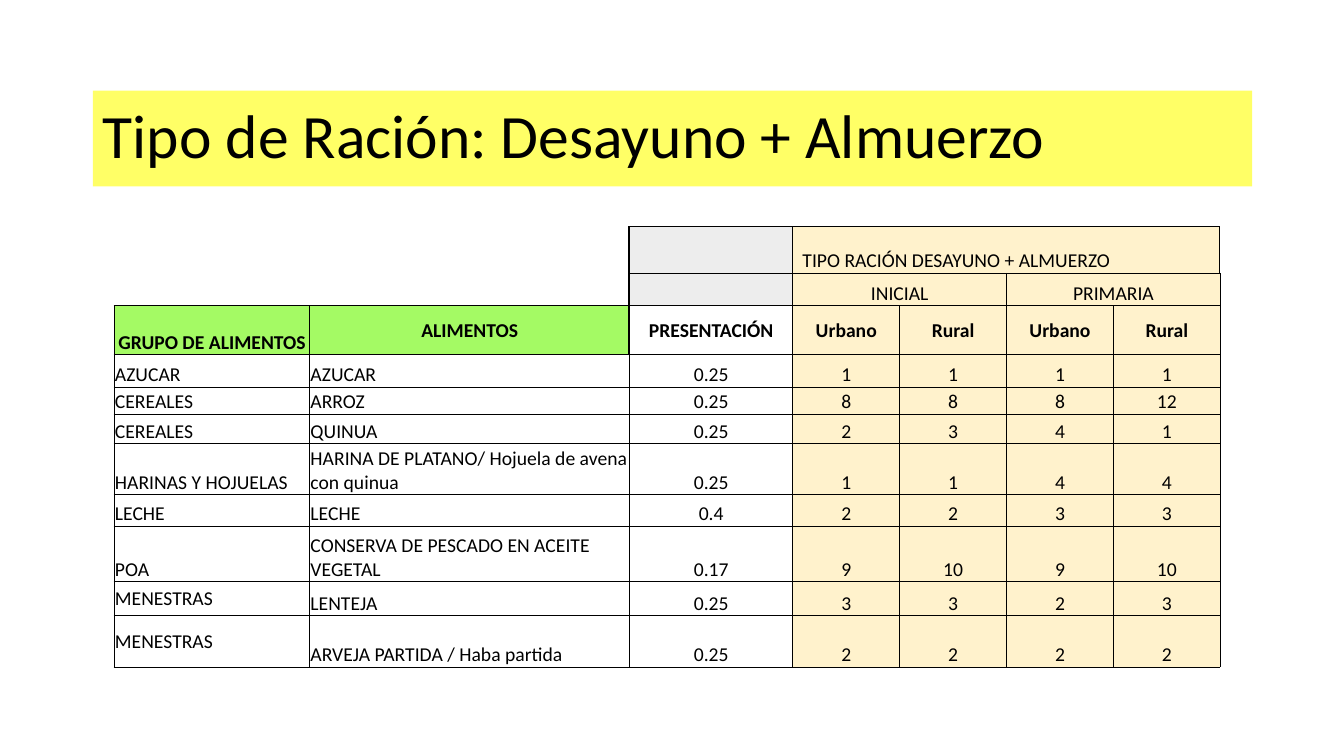
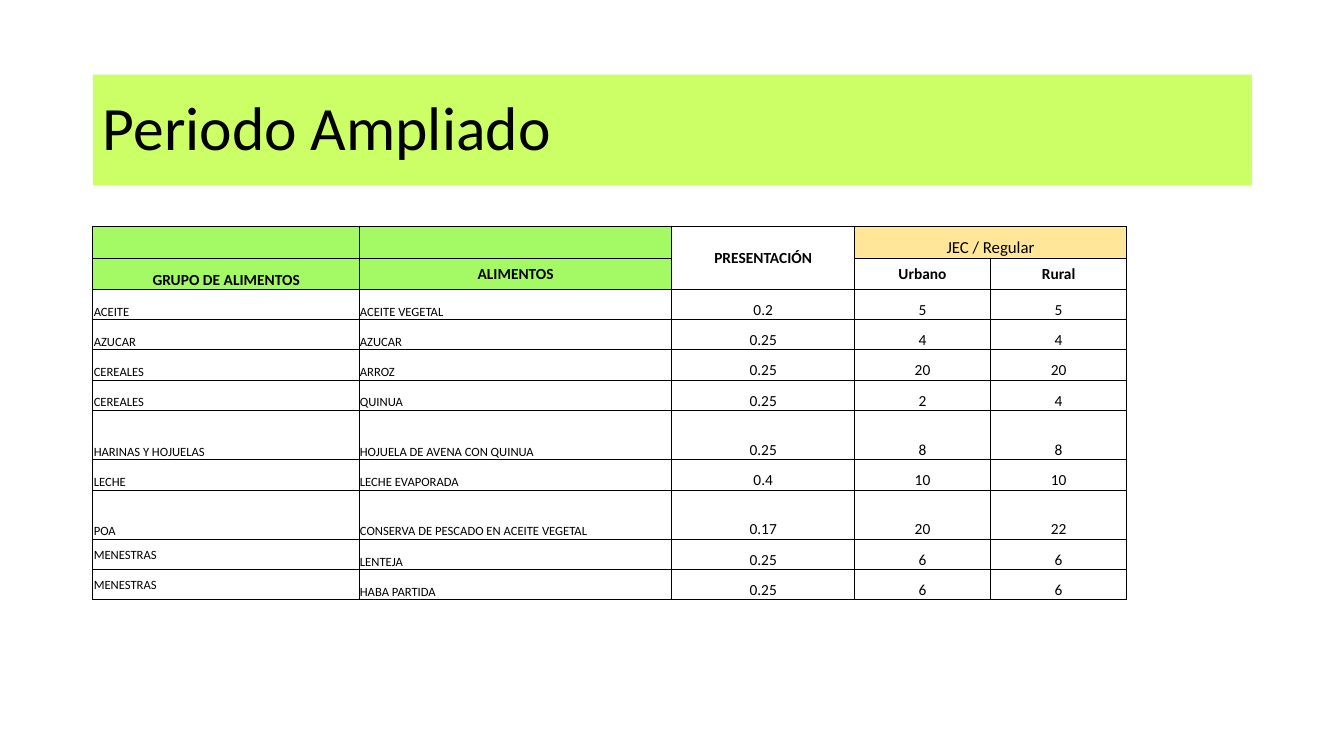
from lxml.etree import SubElement
from pptx import Presentation
from pptx.dml.color import RGBColor
from pptx.enum.text import MSO_ANCHOR, MSO_AUTO_SIZE, PP_ALIGN
from pptx.oxml.ns import qn
from pptx.util import Inches, Pt

FONT = "Calibri"
BLACK = RGBColor(0x00, 0x00, 0x00)
WHITE = RGBColor(0xFF, 0xFF, 0xFF)
GRAY = RGBColor(0xED, 0xED, 0xED)
GREEN = RGBColor(0xA4, 0xFA, 0x64)
CREAM = RGBColor(0xFF, 0xF2, 0xCC)
GOLD = RGBColor(0xFF, 0xE6, 0x99)
YELLOW = RGBColor(0xFF, 0xFF, 0x66)
LIME = RGBColor(0xCC, 0xFF, 0x66)
PLAIN = "{2D5ABB26-0587-4C30-8999-92F81FD0307C}"  # no style, no grid
LEFT, MID = PP_ALIGN.LEFT, PP_ALIGN.CENTER
LOW, HALF = MSO_ANCHOR.BOTTOM, MSO_ANCHOR.MIDDLE


def write(frame, text, size=14, bold=False, align=MID, space=None):
    """Put one formatted paragraph in a text frame."""
    para = frame.paragraphs[0]
    para.alignment = align
    if space:
        para.line_spacing = space
    if not text:
        # An empty cell keeps a small font so that its row stays low
        SubElement(para._p, qn("a:endParaRPr"), sz=str(size * 100))
        return
    run = para.add_run()
    run.text = text
    font = run.font
    font.name, font.size, font.bold = FONT, Pt(size), bold
    font.color.rgb = BLACK


def border(cell, edges):
    """Draw the named sides; a capital letter gives a thick line."""
    props = cell._tc.get_or_add_tcPr()
    for side in edges:
        width = Pt(1) if side.isupper() else Pt(0.5)
        line = SubElement(props, qn("a:ln" + side.upper()), w=str(width))
        fill = SubElement(line, qn("a:solidFill"))
        SubElement(fill, qn("a:srgbClr"), val=str(BLACK))


def fill_cell(cell, text="", fill=None, edges="lrtb", anchor=LOW, pad=0.01,
              **style):
    cell.margin_left, cell.margin_top = Inches(pad), Inches(0.01)
    cell.margin_right = cell.margin_bottom = 0
    cell.vertical_anchor = anchor
    border(cell, edges)
    if fill is None:
        cell.fill.background()
    else:
        cell.fill.solid()
        cell.fill.fore_color.rgb = fill
    write(cell.text_frame, text, **style)


def banner(slide, box, text, color):
    """Title on a coloured band."""
    title = slide.shapes.title
    title.left, title.top, title.width, title.height = map(Inches, box)
    title.fill.solid()
    title.fill.fore_color.rgb = color
    frame = title.text_frame
    frame.auto_size = MSO_AUTO_SIZE.NONE
    frame.word_wrap = True
    frame.vertical_anchor = HALF
    write(frame, text, size=44, align=LEFT, space=0.9)


def grid(slide, spot, cols, rows, heads, spans, body, fills, sizes):
    """Table of foods: header cells by place, then body rows."""
    shape = slide.shapes.add_table(
        len(rows), len(cols), *map(Inches, (*spot, sum(cols), sum(rows))))
    table = shape.table
    table.first_row = table.horz_banding = False
    for style in shape.element.iter(qn("a:tableStyleId")):
        style.text = PLAIN
    for col, width in zip(table.columns, cols):
        col.width = Inches(width)
    for row, height in zip(table.rows, rows):
        row.height = Inches(height)
    for start, end in spans:
        table.cell(*start).merge(table.cell(*end))

    # Header
    top = len(rows) - len(body)
    for r in range(top):
        for c in range(len(cols)):
            style = heads.get((r, c), {"edges": ""})
            fill_cell(table.cell(r, c), **style)

    # Body
    for r, line in enumerate(body):
        for c, text in enumerate(line):
            fill_cell(
                table.cell(top + r, c), text, fill=fills[c], size=sizes[c],
                edges="lrTb" if r == 0 and c > 1 else "lrtb",
                anchor=HALF if c == 0 and text == "MENESTRAS" else LOW,
                align=LEFT if c < 2 else MID)


def label(text, **style):
    """Bold header cell."""
    return {"text": text, "bold": True, "anchor": HALF, **style}


def ration(slide):
    banner(slide, (0.92, 0.9, 11.5, 0.95),
           "Tipo de Ración: Desayuno + Almuerzo", YELLOW)
    heads = {
        (0, 2): {"fill": GRAY, "edges": "LRTB"},
        (0, 3): {"text": "TIPO RACIÓN DESAYUNO + ALMUERZO", "fill": CREAM,
                 "edges": "LRTb", "align": LEFT, "pad": 0.1},
        (1, 2): {"fill": GRAY, "edges": "LrTB"},
        (1, 3): {"text": "INICIAL", "fill": CREAM},
        (1, 5): {"text": "PRIMARIA", "fill": CREAM},
        (2, 0): label("GRUPO DE ALIMENTOS", fill=GREEN, anchor=LOW),
        (2, 1): label("ALIMENTOS", fill=GREEN, edges="lRtb"),
        (2, 2): label("PRESENTACIÓN", edges="LrTB"),
    }
    for c in range(3, 7):
        heads[2, c] = label("Urbano" if c % 2 else "Rural", fill=CREAM,
                            edges="lrtB")
    body = [
        ("AZUCAR", "AZUCAR", "0.25", "1", "1", "1", "1"),
        ("CEREALES", "ARROZ", "0.25", "8", "8", "8", "12"),
        ("CEREALES", "QUINUA", "0.25", "2", "3", "4", "1"),
        ("HARINAS Y HOJUELAS",
         "HARINA DE PLATANO/ Hojuela de avena con quinua",
         "0.25", "1", "1", "4", "4"),
        ("LECHE", "LECHE", "0.4", "2", "2", "3", "3"),
        ("POA", "CONSERVA DE PESCADO EN ACEITE VEGETAL",
         "0.17", "9", "10", "9", "10"),
        ("MENESTRAS", "LENTEJA", "0.25", "3", "3", "2", "3"),
        ("MENESTRAS", "ARVEJA PARTIDA / Haba partida",
         "0.25", "2", "2", "2", "2"),
    ]
    grid(slide, (1.13, 2.25), [1.94, 3.17, 1.62] + [1.06] * 4,
         [0.46, 0.32, 0.49, 0.32, 0.27, 0.29, 0.51, 0.31, 0.55, 0.34, 0.51],
         heads, [((0, 3), (0, 6)), ((1, 3), (1, 4)), ((1, 5), (1, 6))],
         body, [None, WHITE, WHITE] + [CREAM] * 4, [14] * 7)


def period(slide):
    banner(slide, (0.92, 0.74, 11.5, 1.1), "Periodo Ampliado", LIME)
    heads = {
        (0, 0): {"fill": GREEN, "size": 11},
        (0, 1): {"fill": GREEN, "size": 11, "edges": "ltb"},
        (0, 2): label("PRESENTACIÓN", size=11, edges="rtB"),
        (0, 3): {"text": "JEC / Regular", "fill": GOLD, "size": 12},
        (1, 0): label("GRUPO DE ALIMENTOS", size=11, fill=GREEN, anchor=LOW),
        (1, 1): label("ALIMENTOS", size=11, fill=GREEN, edges="ltb"),
        (1, 3): label("Urbano", size=11, fill=WHITE, edges="lrtB"),
        (1, 4): label("Rural", size=11, fill=WHITE, edges="lrtB"),
    }
    body = [
        ("ACEITE", "ACEITE VEGETAL", "0.2", "5", "5"),
        ("AZUCAR", "AZUCAR", "0.25", "4", "4"),
        ("CEREALES", "ARROZ", "0.25", "20", "20"),
        ("CEREALES", "QUINUA", "0.25", "2", "4"),
        ("HARINAS Y HOJUELAS", "HOJUELA DE AVENA CON QUINUA",
         "0.25", "8", "8"),
        ("LECHE", "LECHE EVAPORADA", "0.4", "10", "10"),
        ("POA", "CONSERVA DE PESCADO EN ACEITE VEGETAL",
         "0.17", "20", "22"),
        ("MENESTRAS", "LENTEJA", "0.25", "6", "6"),
        ("MENESTRAS", "HABA PARTIDA", "0.25", "6", "6"),
    ]
    tall = {6, 8}
    rows = [0.49 if r in tall else 0.31 if r < 2 else 0.3 for r in range(11)]
    grid(slide, (0.92, 2.25), [2.64, 3.1, 1.81, 1.35, 1.35], rows,
         heads, [((0, 2), (1, 2)), ((0, 3), (0, 4))],
         body, [None] + [WHITE] * 4, [9, 9, 11, 11, 11])


def main():
    deck = Presentation()
    deck.slide_width, deck.slide_height = Inches(13.33), Inches(7.5)
    for build in (ration, period):
        build(deck.slides.add_slide(deck.slide_layouts[5]))
    deck.save("out.pptx")


if __name__ == "__main__":
    main()
